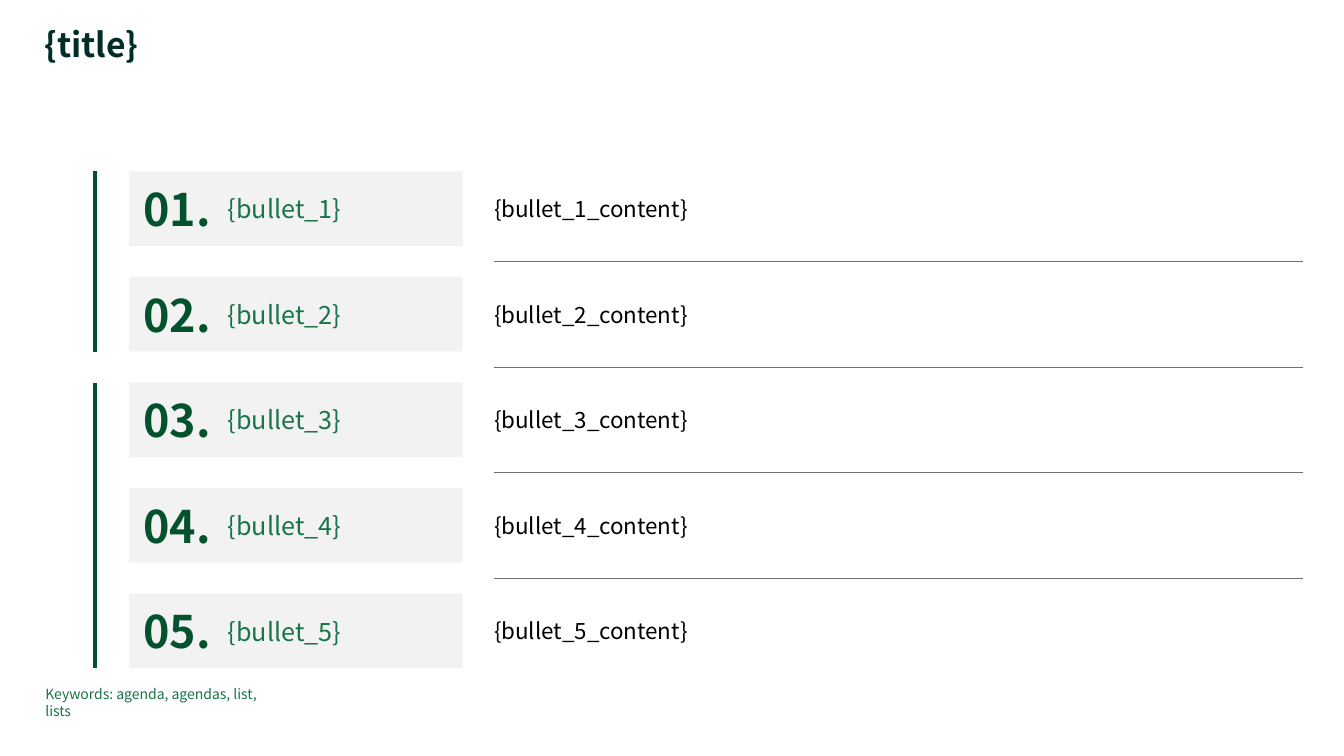
"""Build an agenda slide with five numbered topics."""
from lxml import etree
from pptx import Presentation
from pptx.dml.color import RGBColor
from pptx.enum.shapes import MSO_CONNECTOR as Connector, MSO_SHAPE as Shape
from pptx.enum.text import MSO_ANCHOR as Anchor, MSO_AUTO_SIZE as AutoSize, PP_ALIGN as Align
from pptx.oxml.ns import qn
from pptx.util import Inches, Pt

TITLE = "{title}"
KEYWORDS = "Keywords: agenda, agendas, list, lists"
TOPICS = [
    ("01.", "{bullet_1}", "{bullet_1_content}"),
    ("02.", "{bullet_2}", "{bullet_2_content}"),
    ("03.", "{bullet_3}", "{bullet_3_content}"),
    ("04.", "{bullet_4}", "{bullet_4_content}"),
    ("05.", "{bullet_5}", "{bullet_5_content}"),
]
GROUPS = [(0, 1), (2, 4)]

FONT = "Noto Sans CJK JP"
INK, DARK, GREEN, PANEL, RULE, BLACK = "002D28", "03522D", "1A7449", "F2F2F2", "6E6F73", "000000"
TITLE_STYLE = {"size": Pt(24), "bold": True}
NUMBER_STYLE = {"size": Pt(32), "bold": True}
TOPIC_STYLE = {"size": Pt(18), "bold": False}
CONTENT_STYLE = {"size": Pt(16), "bold": False}
KEYWORD_STYLE = {"size": Pt(10), "bold": False}

FIRST_TOP, LAST_TOP = 1.7, 5.89
PITCH = (LAST_TOP - FIRST_TOP) / (len(TOPICS) - 1)
PANEL_LEFT, PANEL_WIDTH, PANEL_HEIGHT = 1.28, 3.31, 0.74
NUMBER_LEFT, NUMBER_WIDTH, NUMBER_HEIGHT = 1.42, 0.85, 0.57
CONTENT_LEFT, CONTENT_WIDTH, CONTENT_HEIGHT = 4.9, 8.02, 0.27
BAR_LEFT = 0.94


def color(value):
    return RGBColor.from_string(value)


def write(shape, text, ink, style, margins=(0, 0, 0, 0), anchor=Anchor.MIDDLE, fit=AutoSize.NONE):
    frame = shape.text_frame
    sides = zip(("margin_left", "margin_top", "margin_right", "margin_bottom"), map(Inches, margins))
    layout = {"word_wrap": True, "auto_size": fit, "vertical_anchor": anchor, **dict(sides)}
    for name, value in layout.items():
        setattr(frame, name, value)
    para = frame.paragraphs[0]
    para.alignment = Align.LEFT
    span = para.add_run()
    span.text = text
    for name, value in {"name": FONT, **style}.items():
        setattr(span.font, name, value)
    span.font.color.rgb = color(ink)
    return para


def add_text(page, place, *content, **options):
    return write(page.shapes.add_textbox(*map(Inches, place)), *content, **options)


def add_line(page, ends, ink, width):
    line = page.shapes.add_connector(Connector.STRAIGHT, *map(Inches, ends))
    line.line.color.rgb = color(ink)
    line.line.width = Pt(width)
    etree.SubElement(line._element.spPr, qn("a:effectLst"))


def add_topic(page, top, number, topic, content):
    place = PANEL_LEFT, top, PANEL_WIDTH, PANEL_HEIGHT
    panel = page.shapes.add_shape(Shape.RECTANGLE, *map(Inches, place))
    panel.shadow.inherit = False
    panel.fill.solid()
    panel.fill.fore_color.rgb = color(PANEL)
    panel.line.fill.background()
    write(panel, topic, GREEN, TOPIC_STYLE, margins=(0.98, 0.08, 0.24, 0.08))
    middle = top + PANEL_HEIGHT / 2
    add_text(page, (NUMBER_LEFT, middle - NUMBER_HEIGHT / 2, NUMBER_WIDTH, NUMBER_HEIGHT),
             number, DARK, NUMBER_STYLE)
    add_text(page, (CONTENT_LEFT, middle - CONTENT_HEIGHT / 2, CONTENT_WIDTH, CONTENT_HEIGHT),
             content, BLACK, CONTENT_STYLE, fit=AutoSize.SHAPE_TO_FIT_TEXT)


def main():
    deck = Presentation()
    deck.slide_width, deck.slide_height = Inches(13.33), Inches(7.5)
    page = deck.slides.add_slide(deck.slide_layouts[6])
    growing = {"anchor": Anchor.TOP, "fit": AutoSize.SHAPE_TO_FIT_TEXT}

    title = add_text(page, (0.44, 0.28, 11.03, 0.37), TITLE, INK, TITLE_STYLE, **growing)
    title.line_spacing = 0.9

    tops = [FIRST_TOP + index * PITCH for index in range(len(TOPICS))]
    for top, topic in zip(tops, TOPICS):
        add_topic(page, top, *topic)
    for top in tops[:-1]:
        height = top + (PANEL_HEIGHT + PITCH) / 2
        add_line(page, (CONTENT_LEFT + CONTENT_WIDTH, height, CONTENT_LEFT, height), RULE, 0.5)
    for first, last in GROUPS:
        add_line(page, (BAR_LEFT, tops[first], BAR_LEFT, tops[last] + PANEL_HEIGHT), DARK, 3)

    add_text(page, (0.45, 6.8, 2.33, 0.17), KEYWORDS, GREEN, KEYWORD_STYLE, **growing)
    deck.save("out.pptx")


if __name__ == "__main__":
    main()
